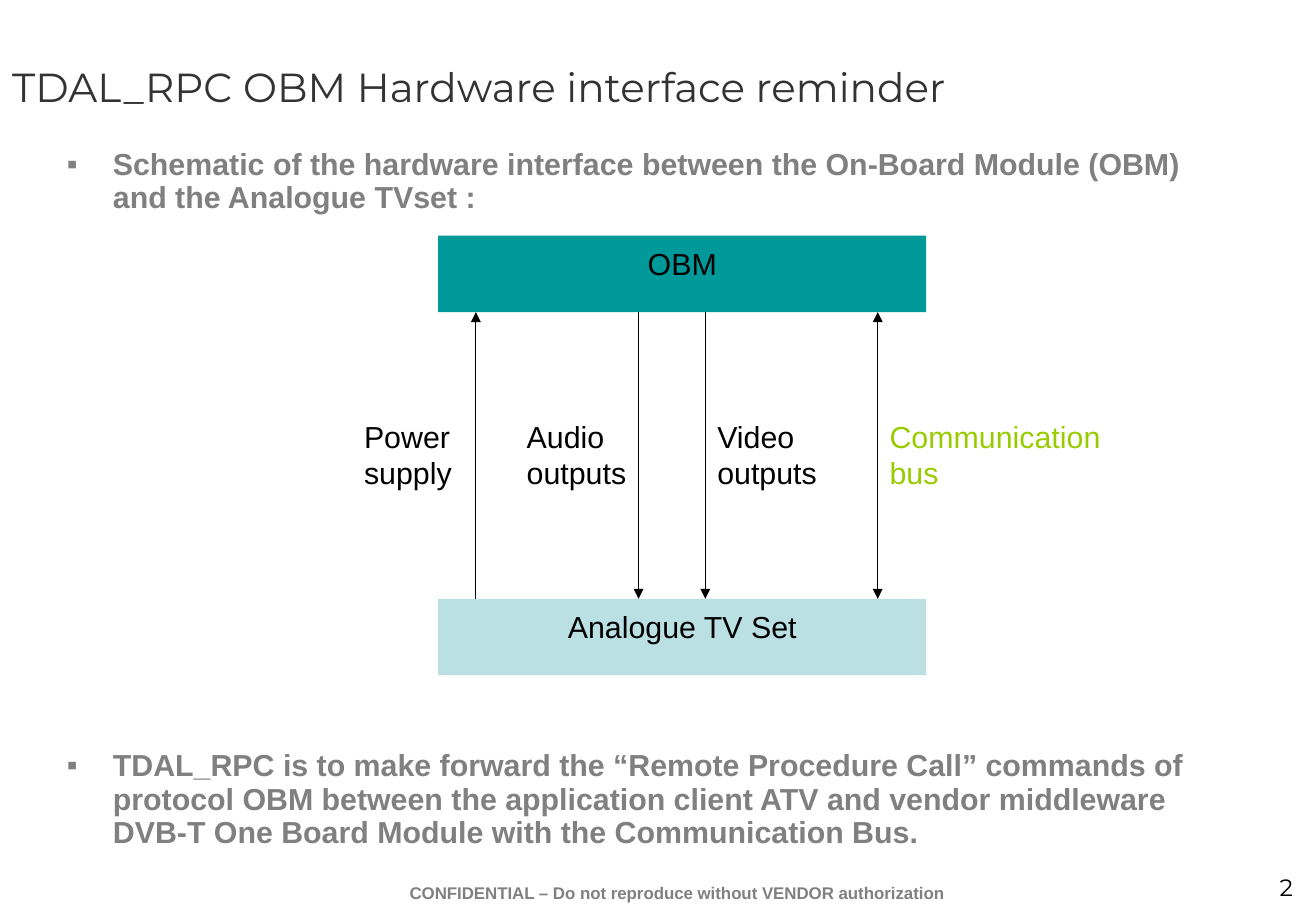
from dataclasses import dataclass

from lxml.etree import SubElement
from pptx import Presentation
from pptx.dml.color import RGBColor as RGB
from pptx.enum.shapes import MSO_CONNECTOR as CONNECTOR, MSO_SHAPE as SHAPE
from pptx.enum.text import MSO_ANCHOR as ANCHOR, MSO_AUTO_SIZE as AUTO_SIZE, PP_ALIGN as ALIGN
from pptx.oxml.ns import qn
from pptx.util import Emu, Pt

EMU_PER_PX = 9144  # 100 px to the inch


@dataclass(frozen=True)
class Theme:
    sans: str = "Arial"
    display: str = "Montserrat"
    ink: str = "000000"
    heading: str = "333333"
    muted: str = "808080"
    accent: str = "99CC00"
    module_fill: str = "009999"
    tv_fill: str = "BBE0E3"
    title_size: int = 24
    text_size: int = 18
    page_size: int = 14
    footer_size: int = 10
    arrow_width: float = 0.75


THEME = Theme()

BLOCK_LEFT, BLOCK_WIDTH, BLOCK_HEIGHT = 361, 402, 63
MODULE_TOP, TV_TOP = 194, 493
LABEL_TOP, LABEL_HEIGHT = 336, 70

# Arrow x, points up, points down, label, label left, label width, label colour
SIGNALS = [
    (392, True, False, "Power supply", 290, 102, THEME.ink),
    (526, False, True, "Audio outputs", 424, 102, THEME.ink),
    (581, False, True, "Video outputs", 581, 102, THEME.ink),
    (723, True, True, "Communication bus", 723, 197, THEME.accent),
]

PURPOSE = (
    "Schematic of the hardware interface between the On-Board Module (OBM) "
    "and the Analogue TVset :"
)
ROLE = (
    "TDAL_RPC is to make forward the “Remote Procedure Call” commands of "
    "protocol OBM between the application client ATV and vendor middleware "
    "DVB-T One Board Module with the Communication Bus."
)


def px(length):
    return Emu(length * EMU_PER_PX)


def place(shape, left, top, width, height):
    shape.left, shape.top = px(left), px(top)
    shape.width, shape.height = px(width), px(height)


def set_frame(frame, anchor=ANCHOR.TOP, top_inset=5, right_inset=10):
    frame.word_wrap = True
    frame.auto_size = AUTO_SIZE.NONE
    frame.vertical_anchor = anchor
    frame.margin_left, frame.margin_right = px(10), px(right_inset)
    frame.margin_top, frame.margin_bottom = px(top_inset), px(5)


def write(paragraph, text, font=THEME.sans, size=THEME.text_size, color=THEME.ink,
          bold=False, align=ALIGN.LEFT):
    paragraph.alignment = align
    run = paragraph.add_run()
    run.text = text
    run.font.name = font
    run.font.size = Pt(size)
    run.font.bold = bold
    run.font.color.rgb = RGB.from_string(color)


def add_label(slide, text, box, top_inset=5, right_inset=10, **text_format):
    frame = slide.shapes.add_textbox(*map(px, box)).text_frame
    set_frame(frame, top_inset=top_inset, right_inset=right_inset)
    write(frame.paragraphs[0], text, **text_format)


def add_block(slide, text, top, fill):
    block = slide.shapes.add_shape(
        SHAPE.RECTANGLE, px(BLOCK_LEFT), px(top), px(BLOCK_WIDTH), px(BLOCK_HEIGHT))
    block.shadow.inherit = False
    block.fill.solid()
    block.fill.fore_color.rgb = RGB.from_string(fill)
    block.line.fill.background()
    set_frame(block.text_frame, top_inset=8)
    write(block.text_frame.paragraphs[0], text, align=ALIGN.CENTER)


def add_signal_arrow(slide, x, up, down):
    """Join the two blocks at x, with a triangle at each end that is pointed to."""
    arrow = slide.shapes.add_connector(
        CONNECTOR.STRAIGHT, px(x), px(MODULE_TOP + BLOCK_HEIGHT), px(x), px(TV_TOP))
    arrow.line.width = Pt(THEME.arrow_width)
    arrow.line.color.rgb = RGB.from_string(THEME.ink)
    outline = arrow.line._get_or_add_ln()
    for pointed, end in ((up, "a:headEnd"), (down, "a:tailEnd")):
        if pointed:
            SubElement(outline, qn(end), type="triangle")
    SubElement(arrow._element.spPr, qn("a:effectLst"))


def add_bullet(paragraph, text, space_before):
    paragraph.line_spacing = 0.92
    paragraph.space_before = Pt(space_before)
    write(paragraph, text, color=THEME.muted, bold=True)
    properties = paragraph._p.get_or_add_pPr()
    properties.set("marL", str(px(38)))
    properties.set("indent", str(px(-38)))
    bullet_color = SubElement(properties, qn("a:buClr"))
    SubElement(bullet_color, qn("a:srgbClr"), val=THEME.muted)
    SubElement(properties, qn("a:buFont"), typeface=THEME.sans)
    SubElement(properties, qn("a:buChar"), char="▪")


def fill_title(title):
    place(title, 0, 0, 1083, 142)
    set_frame(title.text_frame, anchor=ANCHOR.MIDDLE)
    write(title.text_frame.paragraphs[0], "TDAL_RPC OBM Hardware interface reminder",
          font=THEME.display, size=THEME.title_size, color=THEME.heading)


def fill_body(body):
    """Write both bullets, leaving room for the schematic between them."""
    place(body, 45, 115, 975, 591)
    frame = body.text_frame
    set_frame(frame, top_inset=7)
    add_bullet(frame.paragraphs[0], PURPOSE, space_before=0)
    add_bullet(frame.add_paragraph(), ROLE, space_before=317)


def main():
    deck = Presentation()
    deck.slide_width, deck.slide_height = px(1084), px(750)
    slide = deck.slides.add_slide(deck.slide_layouts[1])

    add_label(slide, "2", (959, 714, 116, 33), font=THEME.display,
              size=THEME.page_size, align=ALIGN.RIGHT)
    add_label(slide, "CONFIDENTIAL – Do not reproduce without VENDOR authorization",
              (266, 722, 583, 28), size=THEME.footer_size, color=THEME.muted,
              bold=True, align=ALIGN.CENTER)
    fill_title(slide.shapes.title)
    fill_body(slide.placeholders[1])

    add_block(slide, "OBM", MODULE_TOP, THEME.module_fill)
    add_block(slide, "Analogue TV Set", TV_TOP, THEME.tv_fill)
    for x, up, down, label, left, width, color in SIGNALS:
        add_signal_arrow(slide, x, up, down)
        add_label(slide, label, (left, LABEL_TOP, width, LABEL_HEIGHT),
                  top_inset=8, right_inset=5, color=color)

    deck.save("out.pptx")


if __name__ == "__main__":
    main()
